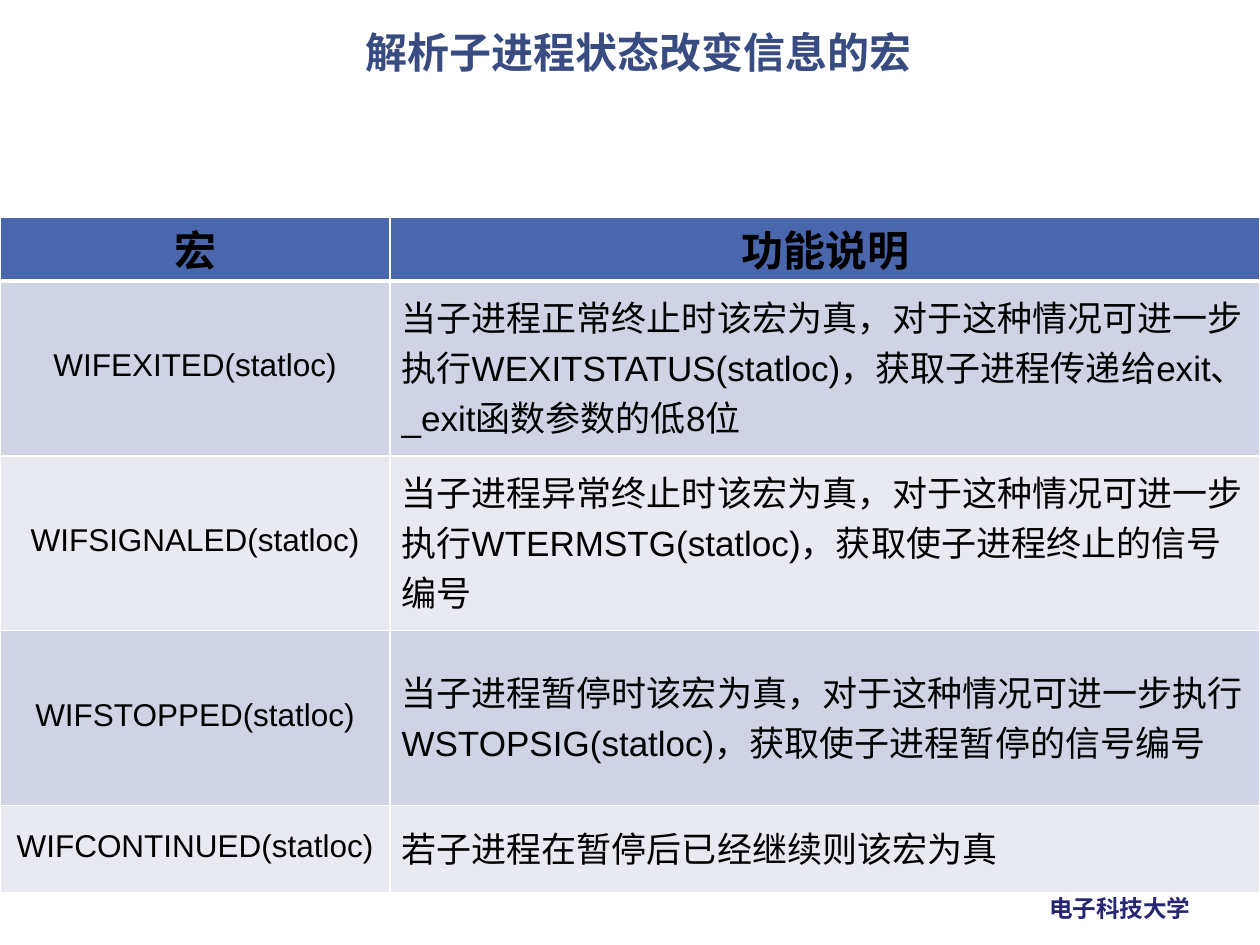
from lxml.etree import SubElement
from pptx import Presentation
from pptx.dml.color import RGBColor
from pptx.enum.text import MSO_ANCHOR, PP_ALIGN
from pptx.oxml.ns import qn
from pptx.util import Pt

WHITE = RGBColor(0xFF, 0xFF, 0xFF)
BLACK = RGBColor(0x00, 0x00, 0x00)
TITLE_BLUE = RGBColor(0x38, 0x4C, 0x81)
FOOTER_BLUE = RGBColor(0x26, 0x26, 0x73)
HEADER_BLUE = RGBColor(0x4A, 0x66, 0xAC)
DARK_BAND = RGBColor(0xD0, 0xD3, 0xE3)
LIGHT_BAND = RGBColor(0xE9, 0xEA, 0xF1)
CJK_FONT = "Noto Sans CJK SC"


def write_text(frame, text, *, size, color=BLACK, font=CJK_FONT, bold=False,
               align=PP_ALIGN.LEFT, spacing=1.0, wrap=True):
    frame.word_wrap = wrap
    para = frame.paragraphs[0]
    para.alignment = align
    para.line_spacing = spacing
    span = para.add_run()
    span.text = text
    span.font.size = Pt(size)
    span.font.bold = bold
    span.font.color.rgb = color
    span.font.name = font
    SubElement(span.font._element, qn("a:ea"), typeface=CJK_FONT)


def add_borders(cell, bottom_width):
    properties = cell._tc.get_or_add_tcPr()
    for side, width in (("L", 1), ("R", 1), ("T", 1), ("B", bottom_width)):
        line = SubElement(properties, qn(f"a:ln{side}"), w=str(Pt(width)))
        fill = SubElement(line, qn("a:solidFill"))
        SubElement(fill, qn("a:srgbClr"), val=str(WHITE))


deck = Presentation()
deck.slide_width = Pt(720)
deck.slide_height = Pt(540)
page = deck.slides.add_slide(deck.slide_layouts[6])

footer = page.shapes.add_textbox(Pt(592.5), Pt(507.5), Pt(96.5), Pt(24))
write_text(footer.text_frame, "电子科技大学", size=13.5, color=FOOTER_BLUE,
           bold=True, wrap=False)

title = page.shapes.add_textbox(Pt(76.3), Pt(15), Pt(577.5), Pt(43))
write_text(title.text_frame, "解析子进程状态改变信息的宏", size=24,
           color=TITLE_BLUE, bold=True, align=PP_ALIGN.CENTER, spacing=0.9)

rows = [
    ("宏", "功能说明"),
    ("WIFEXITED(statloc)",
     "当子进程正常终止时该宏为真，对于这种情况可进一步执行WEXITSTATUS(statloc)，"
     "获取子进程传递给exit、_exit函数参数的低8位"),
    ("WIFSIGNALED(statloc)",
     "当子进程异常终止时该宏为真，对于这种情况可进一步执行WTERMSTG(statloc)，"
     "获取使子进程终止的信号编号"),
    ("WIFSTOPPED(statloc)",
     "当子进程暂停时该宏为真，对于这种情况可进一步执行WSTOPSIG(statloc)，"
     "获取使子进程暂停的信号编号"),
    ("WIFCONTINUED(statloc)", "若子进程在暂停后已经继续则该宏为真"),
]
column_widths = [223, 497]
row_heights = [36.5, 100, 100, 100, 49.5]

table = page.shapes.add_table(
    len(rows), len(column_widths), Pt(0), Pt(124),
    Pt(sum(column_widths)), Pt(sum(row_heights))).table
for column, width in zip(table.columns, column_widths):
    column.width = Pt(width)

for row_index, (texts, height) in enumerate(zip(rows, row_heights)):
    table.rows[row_index].height = Pt(height)
    is_header = row_index == 0
    band = HEADER_BLUE if is_header else DARK_BAND if row_index % 2 else LIGHT_BAND
    for column_index, text in enumerate(texts):
        cell = table.cell(row_index, column_index)
        cell.vertical_anchor = MSO_ANCHOR.MIDDLE
        cell.margin_left = cell.margin_right = Pt(6.5)
        cell.margin_top = Pt(1)
        cell.margin_bottom = Pt(3)
        add_borders(cell, 3 if is_header else 1)
        cell.fill.solid()
        cell.fill.fore_color.rgb = band
        centered = is_header or column_index == 0
        write_text(cell.text_frame, text, font="Arial", bold=is_header,
                   size=24 if is_header else (18, 20)[column_index],
                   align=PP_ALIGN.CENTER if centered else PP_ALIGN.LEFT,
                   spacing=0.98)

deck.save("out.pptx")
